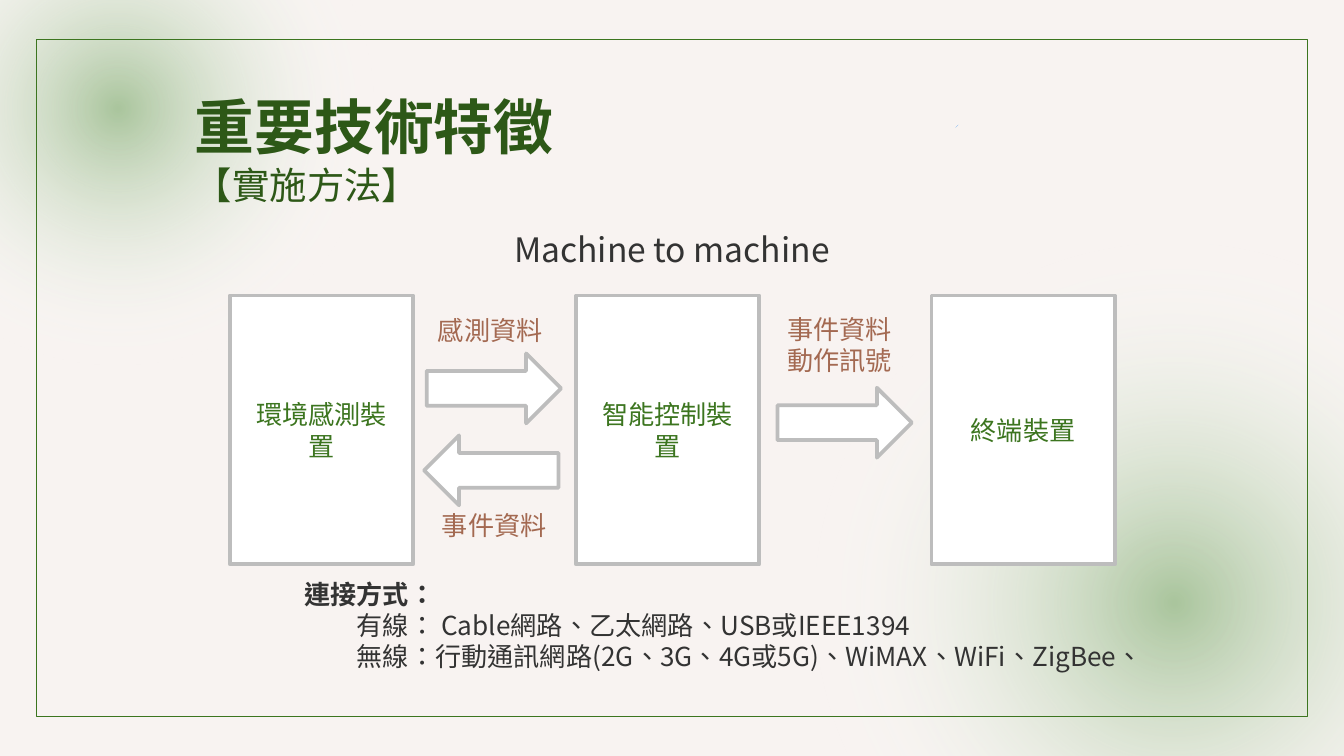
from lxml import etree
from pptx import Presentation
from pptx.dml.color import RGBColor
from pptx.enum.shapes import MSO_SHAPE
from pptx.enum.text import MSO_ANCHOR, PP_ALIGN
from pptx.oxml import parse_xml
from pptx.oxml.ns import nsdecls, qn
from pptx.util import Inches, Pt

RECTANGLE, ELLIPSE, ARROW = MSO_SHAPE.RECTANGLE, MSO_SHAPE.OVAL, MSO_SHAPE.RIGHT_ARROW
LEFT, CENTER = PP_ALIGN.LEFT, PP_ALIGN.CENTER
TOP, MIDDLE = MSO_ANCHOR.TOP, MSO_ANCHOR.MIDDLE
FONT = "Noto Sans CJK SC"
COLORS = {"background": "F8F3F1", "glow": "AAC59D", "white": "FFFFFF",
          "frame": "3C751F", "heading": "2D5817", "body": "333333",
          "signal": "A36951", "outline": "BDBDBD", "speck": "0075F2"}

presentation = Presentation()
presentation.slide_width = Inches(10)
presentation.slide_height = presentation.slide_width * 9 // 16
slide = presentation.slides.add_slide(presentation.slide_layouts[1])
shapes = slide.shapes
cell = presentation.slide_width / 100  # square grid, 100 columns across


def grid(*cells):
    return [round(count * cell) for count in cells]


def write(shape, lines, color, align=LEFT, anchor=TOP):
    """Fill a shape with lines of (text, size, bold)."""
    frame = shape.text_frame
    frame.word_wrap = True
    frame.vertical_anchor = anchor
    for index, (text, size, bold) in enumerate(lines):
        paragraph = frame.paragraphs[0] if index == 0 else frame.add_paragraph()
        paragraph.text = text
        paragraph.runs[0].font._element.set("lang", "zh-TW")
        paragraph.alignment = align
        paragraph.space_before = Pt(0)
        font = paragraph.font
        font.name, font.size, font.bold = FONT, Pt(size), bold
        font.color.rgb = RGBColor.from_string(COLORS[color])
        east_asian = etree.SubElement(font._element, qn("a:ea"))
        east_asian.set("typeface", FONT)


# Background with two soft glows
slide.background.fill.solid()
slide.background.fill.fore_color.rgb = RGBColor.from_string(COLORS["background"])
for left, top, size in [(60.6, 18.1, 53.5), (-10.3, -11, 38.1)]:
    glow = shapes.add_shape(ELLIPSE, *grid(left, top, size, size))
    glow.shadow.inherit = False
    glow.line.fill.background()
    gradient = parse_xml(
        f'<a:gradFill {nsdecls("a")} rotWithShape="1"><a:gsLst>'
        f'<a:gs pos="0"><a:srgbClr val="{COLORS["glow"]}"/></a:gs>'
        f'<a:gs pos="71000"><a:srgbClr val="{COLORS["white"]}"><a:alpha val="0"/></a:srgbClr></a:gs>'
        f'<a:gs pos="100000"><a:srgbClr val="{COLORS["background"]}"/></a:gs></a:gsLst>'
        '<a:path path="circle"><a:fillToRect l="50000" t="50000" r="50000" b="50000"/></a:path>'
        '</a:gradFill>')
    glow._element.spPr.find(qn("a:prstGeom")).addnext(gradient)

# Thin frame
frame_border = shapes.add_shape(RECTANGLE, *grid(2.7, 2.93, 94.6, 50.4))
frame_border.shadow.inherit = False
frame_border.fill.background()
frame_border.line.color.rgb = RGBColor.from_string(COLORS["frame"])
frame_border.line.width = Pt(0.75)

# Small speck
builder = shapes.build_freeform(*grid(71.1, 9.5))
builder.add_line_segments([grid(71.2, 9.4), grid(71.3, 9.3)])
speck = builder.convert_to_shape()
speck.shadow.inherit = False
speck.fill.solid()
speck.fill.fore_color.rgb = RGBColor.from_string(COLORS["speck"])
speck.line.fill.background()

# Title and connection list, brought in front of the background
title, body = shapes.title, slide.placeholders[1]
for placeholder, area in [(title, (13.5, 6.2, 39.2, 9.8)), (body, (21.65, 42.5, 70.8, 10.4))]:
    placeholder.left, placeholder.top, placeholder.width, placeholder.height = grid(*area)
    shapes._spTree.append(placeholder._element)
write(title, [("重要技術特徵", 32, True), ("【實施方法】", 20, False)], "heading")
write(body, [("連接方式：", 14, True),
             ("有線： Cable網路、乙太網路、USB或IEEE1394", 14, False),
             ("無線：行動通訊網路(2G、3G、4G或5G)、WiMAX、WiFi、ZigBee、", 14, False)], "body")
for index, paragraph in enumerate(body.text_frame.paragraphs):
    properties = paragraph._p.get_or_add_pPr()
    properties.set("marL", "0")
    properties.set("indent", str(Pt(28) if index else 0))  # two characters
    properties.find(qn("a:defRPr")).addprevious(parse_xml(f'<a:buNone {nsdecls("a")}/>'))

# Diagram heading
heading = shapes.add_textbox(*grid(34.95, 16.55, 30.1, 4))
write(heading, [("Machine to machine", 18, False)], "body", CENTER)

# Devices and the arrows between them: kind, area, rotation, label
devices = [(RECTANGLE, (left, 22, 13.65, 20), 0, label) for left, label in
           [(17.1, "環境感測裝置"), (42.85, "智能控制裝置"), (69.3, "終端裝置")]]
arrows = [(ARROW, (left, top, 10, 5.2), rotation, "") for left, top, rotation in
          [(31.75, 26.3, 0), (57.85, 28.85, 0), (31.55, 32.4, 180)]]
for kind, area, rotation, label in devices + arrows:
    shape = shapes.add_shape(kind, *grid(*area))
    shape.shadow.inherit = False
    shape.rotation = rotation
    shape.fill.solid()
    shape.fill.fore_color.rgb = RGBColor.from_string(COLORS["white"])
    shape.line.color.rgb = RGBColor.from_string(COLORS["outline"])
    shape.line.width = Pt(2)
    if label:
        write(shape, [(label, 14, False)], "frame", CENTER, MIDDLE)

# Signal names
for left, top, names in [(31.6, 22.9, ["感測資料"]),
                         (57.6, 22.8, ["事件資料", "動作訊號"]),
                         (31.9, 37.4, ["事件資料"])]:
    signal = shapes.add_textbox(*grid(left, top, 12.8, 1.1 + 2.3 * len(names)))
    write(signal, [(name, 14, False) for name in names], "signal")

presentation.save("out.pptx")
